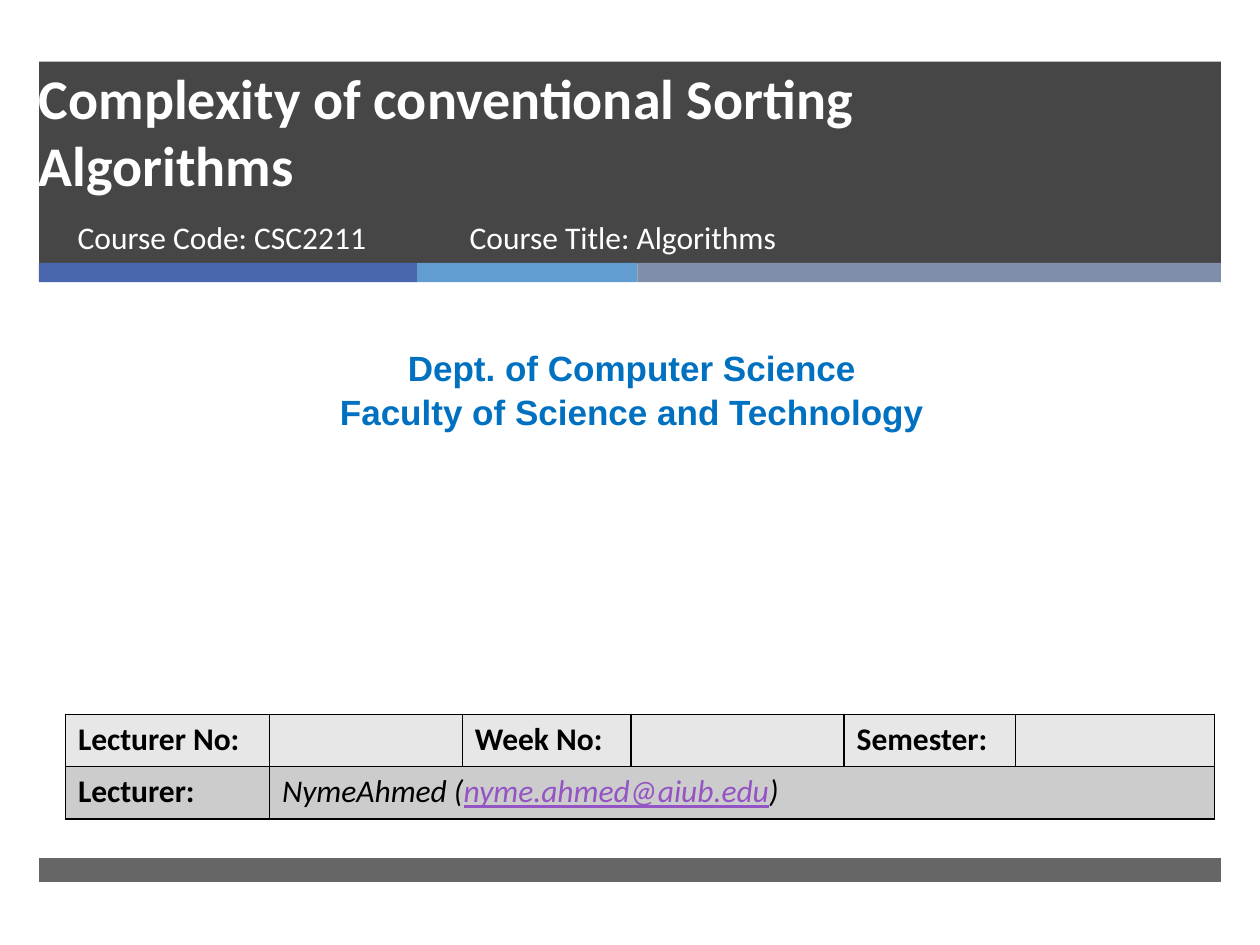
from dataclasses import dataclass

import pptx
import pptx.dml.color
import pptx.enum.shapes
import pptx.enum.text
import pptx.oxml
import pptx.oxml.ns
import pptx.util
from pptx.util import Pt


@dataclass(frozen=True)
class Theme:
    dark: str = "262626"
    accents: tuple = ("4A66AC", "629DD1", "7F8FA9")
    white: str = "FFFFFF"
    black: str = "000000"
    department: str = "0070C0"
    link: str = "9454C3"
    table_rows: tuple = ("E7E7E7", "CCCCCC")
    body_font: str = "Calibri"
    department_font: str = "Arial"
    title_size: int = 32
    department_size: int = 20
    body_size: int = 18


THEME = Theme()
EDGE, BAND_WIDTH = 22.32, 675.36


def rgb(color):
    return pptx.dml.color.RGBColor.from_string(color)


def set_font(font, size, color, name=THEME.body_font, bold=False):
    font.name, font.size, font.bold = name, Pt(size), bold
    font.color.rgb = rgb(color)


def add_band(slide, box, color, opacity=100):
    """Plain filled rectangle; opacity is a percentage."""
    band = slide.shapes.add_shape(
        pptx.enum.shapes.MSO_SHAPE.RECTANGLE, *map(Pt, box))
    band.shadow.inherit = False
    band.fill.solid()
    band.fill.fore_color.rgb = rgb(color)
    band.line.fill.background()
    if opacity < 100:
        color_element = band.fill._xPr.find(".//" + pptx.oxml.ns.qn("a:srgbClr"))
        alpha = pptx.oxml.parse_xml(
            f'<a:alpha {pptx.oxml.ns.nsdecls("a")} val="{opacity * 1000}"/>')
        color_element.append(alpha)


def add_text(slide, box, lines, size, color, name=THEME.body_font, bold=False,
             anchor=pptx.enum.text.MSO_ANCHOR.TOP, alignment=None, spacing=None):
    frame = slide.shapes.add_textbox(*map(Pt, box)).text_frame
    frame.word_wrap = True
    frame.vertical_anchor = anchor
    frame.text = "\n".join(lines)
    for paragraph in frame.paragraphs:
        paragraph.alignment = alignment
        paragraph.line_spacing = spacing
        set_font(paragraph.font, size, color, name, bold)


def add_header(slide, box):
    """Dark title band with a three-coloured stripe along its lower edge."""
    left, top, width, height = box
    add_band(slide, box, THEME.dark, 85)
    stripe_left, stripe_top = left, top + height - 0.5
    first, second = 216, 126
    for part, color in zip((first, second, width - first - second), THEME.accents):
        add_band(slide, (stripe_left, stripe_top, part, 11), color)
        stripe_left += part

    add_text(slide, (left - 7.2, top - 4.3, 615, 85.7),
             ["Complexity of conventional Sorting Algorithms"],
             THEME.title_size, THEME.white, bold=True,
             anchor=pptx.enum.text.MSO_ANCHOR.BOTTOM)
    courses = ((15, 220, "Course Code: CSC2211"),
               (239, 328, "Course Title: Algorithms"))
    for offset, text_width, text in courses:
        add_text(slide, (left + offset, top + 85.7, text_width, 38), [text],
                 THEME.body_size, THEME.white)


def add_department(slide, box):
    add_text(slide, box,
             ["Dept. of Computer Science", "Faculty of Science and Technology"],
             THEME.department_size, THEME.department, THEME.department_font,
             bold=True, alignment=pptx.enum.text.PP_ALIGN.CENTER, spacing=1.05)


def style_cell(cell, fill):
    cell.fill.solid()
    cell.fill.fore_color.rgb = rgb(fill)
    properties = cell._tc.get_or_add_tcPr()
    for index, side in enumerate(("lnL", "lnR", "lnT", "lnB")):
        border = pptx.oxml.parse_xml(
            f'<a:{side} {pptx.oxml.ns.nsdecls("a")} w="12700"><a:solidFill>'
            f'<a:srgbClr val="{THEME.black}"/></a:solidFill></a:{side}>')
        properties.insert(index, border)
    set_font(cell.text_frame.paragraphs[0].font, THEME.body_size, THEME.black,
             bold=True)


def add_lecture_table(slide, box):
    column_widths = (116.6, 110.2, 96.5, 121.7, 97.9, 113.8)
    table = slide.shapes.add_table(2, len(column_widths), *map(Pt, box)).table
    for column, width in zip(table.columns, column_widths):
        column.width = Pt(width)
    for row, fill in zip(table.rows, THEME.table_rows):
        for cell in row.cells:
            style_cell(cell, fill)

    labels = {(0, 0): "Lecturer No:", (0, 2): "Week No:",
              (0, 4): "Semester:", (1, 0): "Lecturer:"}
    for position, label in labels.items():
        cell = table.cell(*position)
        cell.text = label
        set_font(cell.text_frame.paragraphs[0].font, THEME.body_size,
                 THEME.black, bold=True)

    lecturer = table.cell(1, 1)
    lecturer.merge(table.cell(1, 5))
    paragraph = lecturer.text_frame.paragraphs[0]
    for text, color, underline in (("NymeAhmed (", THEME.black, False),
                                   ("nyme.ahmed@aiub.edu", THEME.link, True),
                                   (")", THEME.black, False)):
        run = paragraph.add_run()
        run.text = text
        set_font(run.font, THEME.body_size, color)
        run.font.italic = True
        run.font.underline = underline


def main():
    presentation = pptx.Presentation()
    presentation.slide_width, presentation.slide_height = Pt(720), Pt(540)
    slide = presentation.slides.add_slide(presentation.slide_layouts[6])
    add_header(slide, (EDGE, 35.2, BAND_WIDTH, 115.6))
    add_department(slide, (5.8, 193, 710.6, 55.4))
    add_lecture_table(slide, (37.4, 408.2, 656.7, 59.8))
    add_band(slide, (EDGE, 490.3, BAND_WIDTH, 13.7), THEME.dark, 70)
    presentation.save("out.pptx")


if __name__ == "__main__":
    main()
